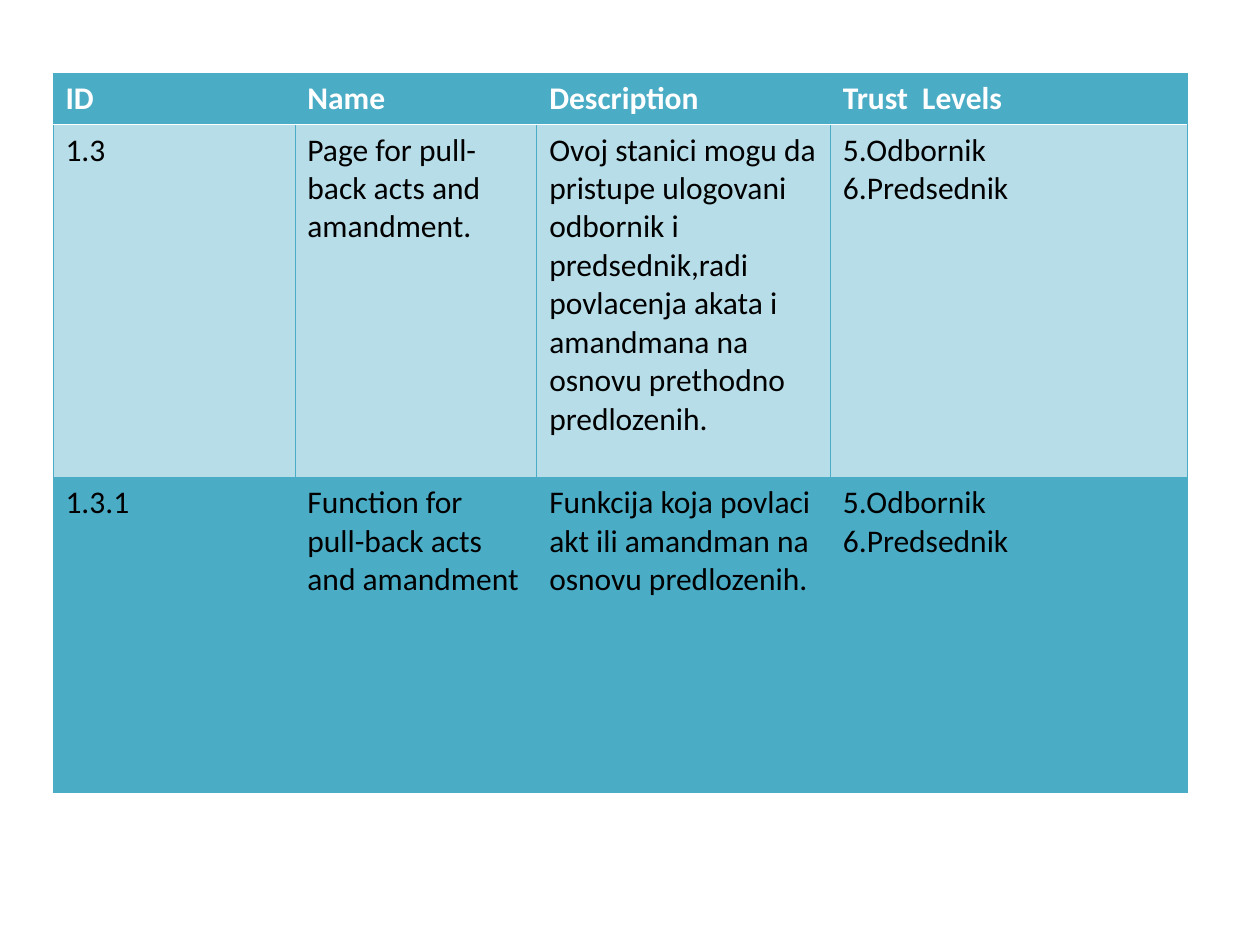
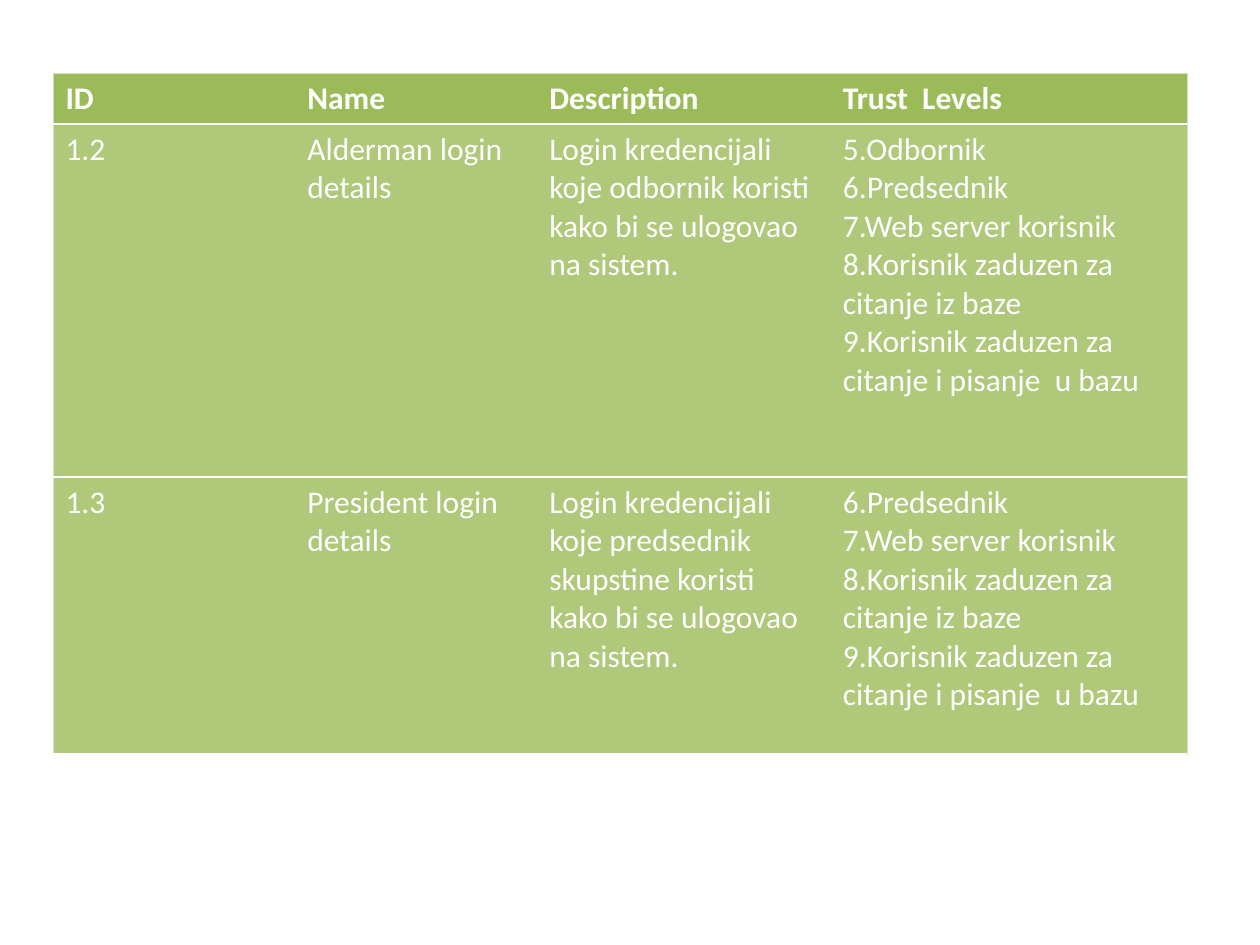
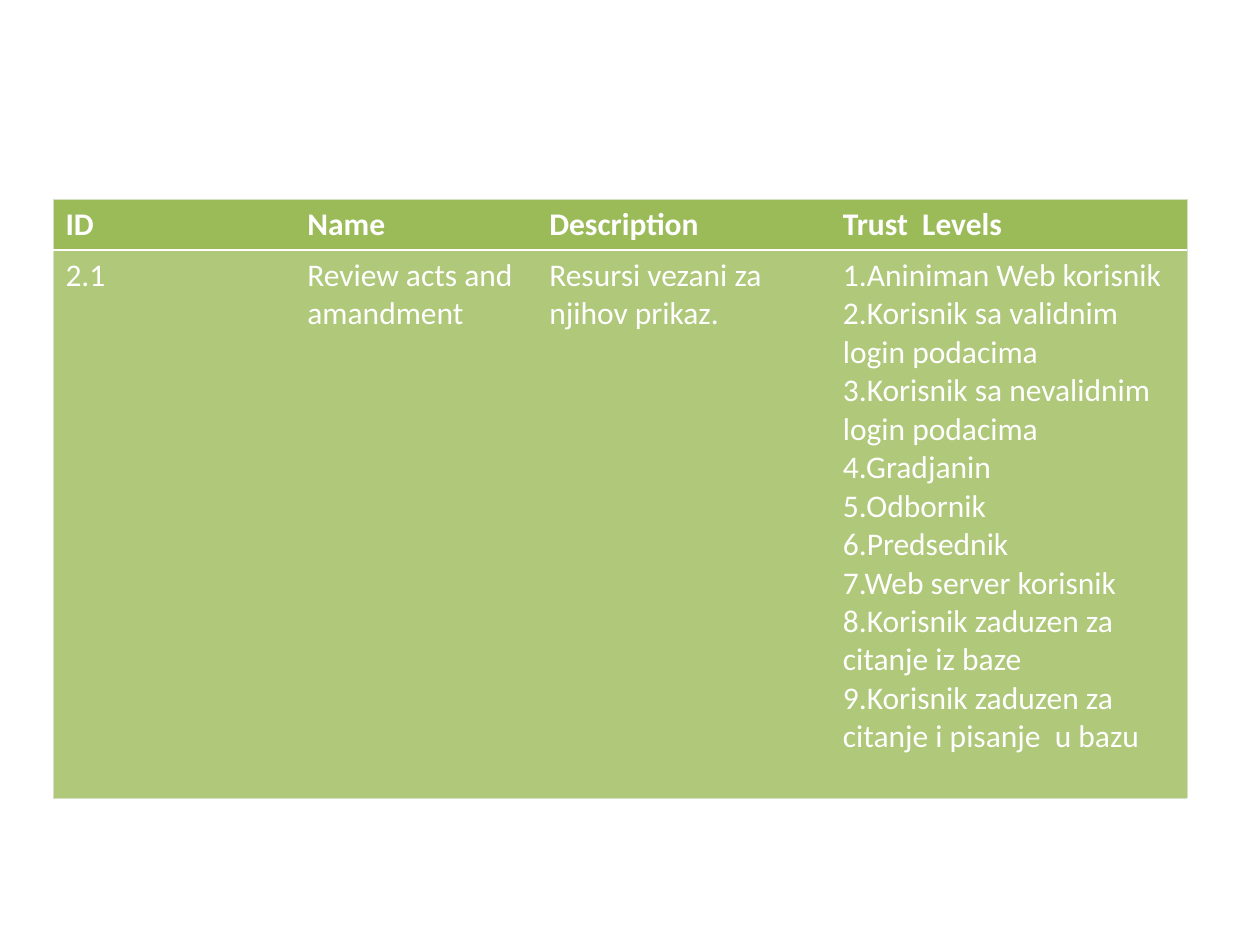
from dataclasses import dataclass

from lxml import etree
from pptx import Presentation
from pptx.dml.color import RGBColor
from pptx.oxml.ns import qn
from pptx.util import Inches, Pt


@dataclass(frozen=True)
class Palette:
    header_fill: str
    row_fills: tuple
    body_text: str
    edge: tuple
    separator: tuple
    column_line: tuple | None


@dataclass(frozen=True)
class Theme:
    font: str = "Calibri"
    size: int = 18
    header_text: str = "FFFFFF"
    teal: Palette = Palette("4BACC6", ("B7DDE8", "4BACC6"), "000000",
                            ("4BACC6", 0.34), ("FFFFFF", 0.96), ("4BACC6", 0.34))
    green: Palette = Palette("9BBB59", ("AFC87A",), "FFFFFF",
                             ("D4E0C3", 0.34), ("FFFFFF", 1.47), None)


THEME = Theme()
BLANK_LAYOUT = 6
TABLE_LEFT = 0.42
COLUMN_WIDTHS = (1.92, 1.92, 2.33, 2.83)
HEADINGS = ("ID", "Name", "Description", "Trust  Levels")
TRUST_LEVELS = (
    "1.Aniniman Web korisnik",
    "2.Korisnik sa validnim login podacima",
    "3.Korisnik sa nevalidnim login podacima",
    "4.Gradjanin",
    "5.Odbornik",
    "6.Predsednik",
    "7.Web server korisnik",
    "8.Korisnik zaduzen za citanje iz baze",
    "9.Korisnik zaduzen za citanje i pisanje  u bazu",
)


def trust_levels(first, last):
    return "\n".join(TRUST_LEVELS[first - 1:last])


def set_borders(cell, left, right, top, bottom):
    properties = cell._tc.get_or_add_tcPr()
    sides = (("a:lnL", left), ("a:lnR", right), ("a:lnT", top), ("a:lnB", bottom))
    for position, (tag, border) in enumerate(sides):
        line = etree.Element(qn(tag))
        if border:
            color, width = border
            line.set("w", str(Pt(width)))
            fill = etree.SubElement(line, qn("a:solidFill"))
            etree.SubElement(fill, qn("a:srgbClr"), val=color)
        else:
            etree.SubElement(line, qn("a:noFill"))
        properties.insert(position, line)


def fill_cell(cell, text, fill, color, bold):
    cell.fill.solid()
    cell.fill.fore_color.rgb = RGBColor.from_string(fill)
    cell.text = text
    for paragraph in cell.text_frame.paragraphs:
        paragraph.font.name = THEME.font
        paragraph.font.size = Pt(THEME.size)
        paragraph.font.bold = bold
        paragraph.font.color.rgb = RGBColor.from_string(color)


def add_trust_table(prs, palette, top, row_heights, entries, row_lines):
    slide = prs.slides.add_slide(prs.slide_layouts[BLANK_LAYOUT])
    table = slide.shapes.add_table(
        len(row_heights), len(COLUMN_WIDTHS), Inches(TABLE_LEFT), Inches(top),
        Inches(sum(COLUMN_WIDTHS)), Inches(sum(row_heights))).table
    table.horz_banding = False
    for column, width in zip(table.columns, COLUMN_WIDTHS):
        column.width = Inches(width)
    column_lines = (palette.edge, *[palette.column_line] * (len(COLUMN_WIDTHS) - 1),
                    palette.edge)
    for r, (height, texts) in enumerate(zip(row_heights, (HEADINGS, *entries))):
        table.rows[r].height = Inches(height)
        is_header = r == 0
        fill = palette.header_fill if is_header else palette.row_fills[(r - 1) % len(palette.row_fills)]
        color = THEME.header_text if is_header else palette.body_text
        for c, text in enumerate(texts):
            cell = table.cell(r, c)
            fill_cell(cell, text, fill, color, is_header)
            set_borders(cell, column_lines[c], column_lines[c + 1],
                        row_lines[r], row_lines[r + 1])


def main():
    prs = Presentation()
    prs.slide_width, prs.slide_height = Inches(10), Inches(7.5)
    teal, green = THEME.teal, THEME.green

    add_trust_table(prs, teal, 0.58, (0.41, 2.8, 2.5), (
        ("1.3", "Page for pull-back acts and amandment.",
         "Ovoj stanici mogu da pristupe ulogovani  odbornik i predsednik,radi "
         "povlacenja akata i amandmana na osnovu prethodno predlozenih.",
         trust_levels(5, 6)),
        ("1.3.1", "Function for pull-back acts and amandment",
         "Funkcija koja povlaci akt ili amandman na osnovu predlozenih.",
         trust_levels(5, 6)),
    ), (teal.edge, teal.separator, teal.edge, teal.edge))

    add_trust_table(prs, green, 0.58, (0.4, 2.8, 2.2), (
        ("1.2", "Alderman login details",
         "Login kredencijali koje odbornik koristi kako bi se ulogovao na sistem.",
         trust_levels(5, 9)),
        ("1.3", "President login details",
         "Login kredencijali koje predsednik skupstine koristi kako bi se "
         "ulogovao na sistem.",
         trust_levels(6, 9)),
    ), (green.edge, green.separator, green.separator, green.separator))

    add_trust_table(prs, green, 1.58, (0.4, 4.35), (
        ("2.1", "Review acts and amandment", "Resursi vezani za njihov prikaz.",
         trust_levels(1, 9)),
    ), (green.edge, green.separator, green.edge))

    prs.save("out.pptx")


if __name__ == "__main__":
    main()
